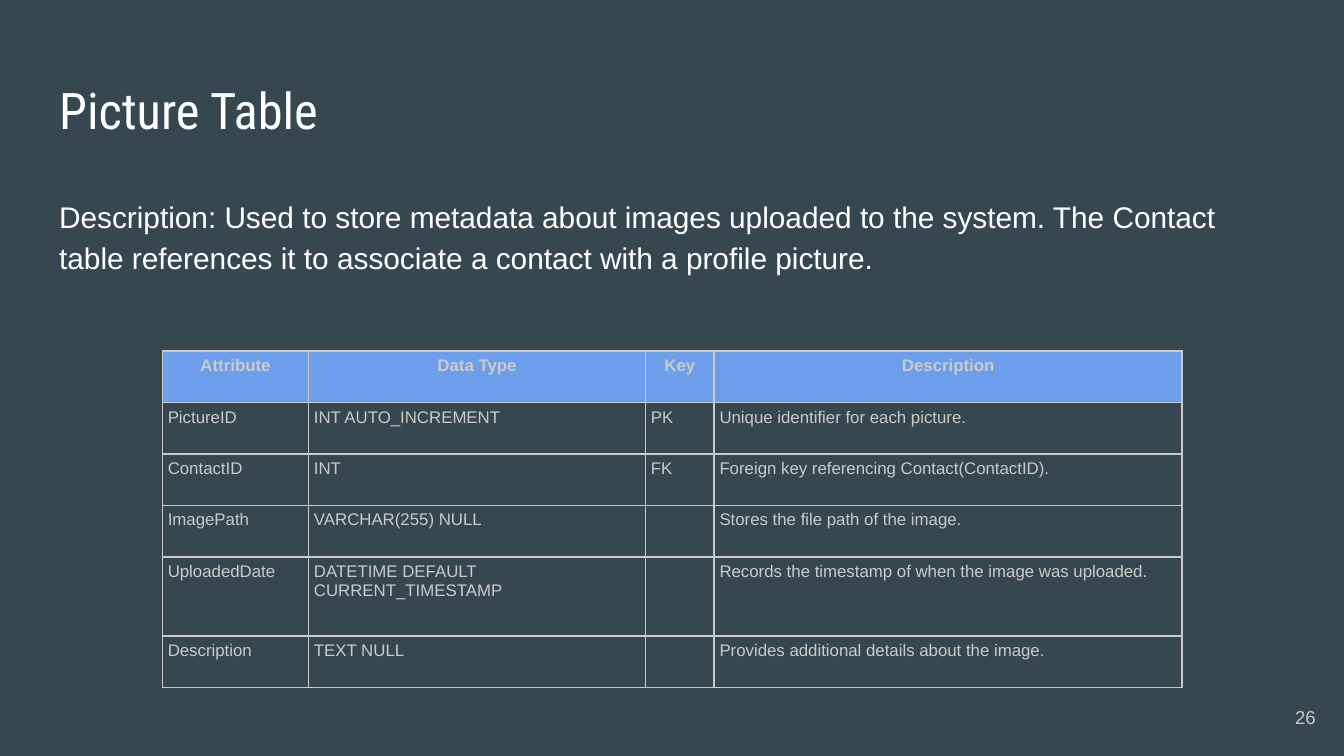
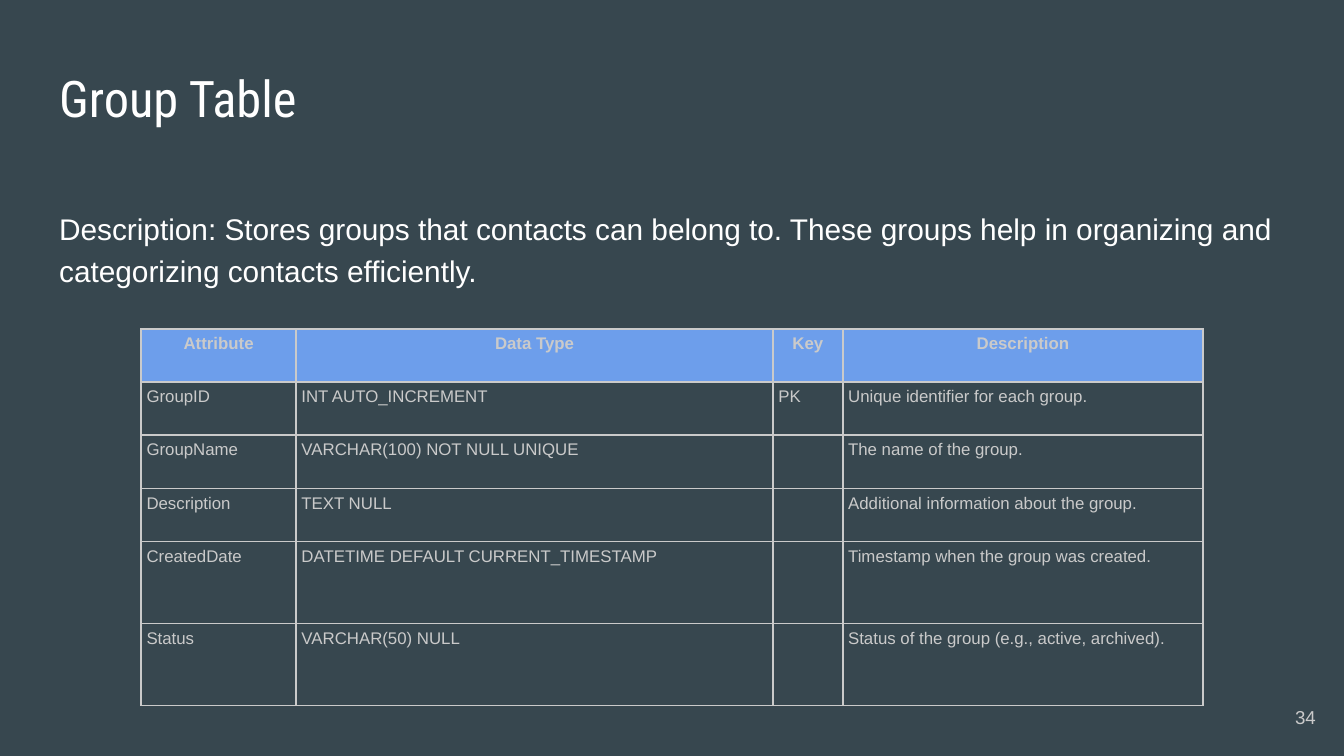
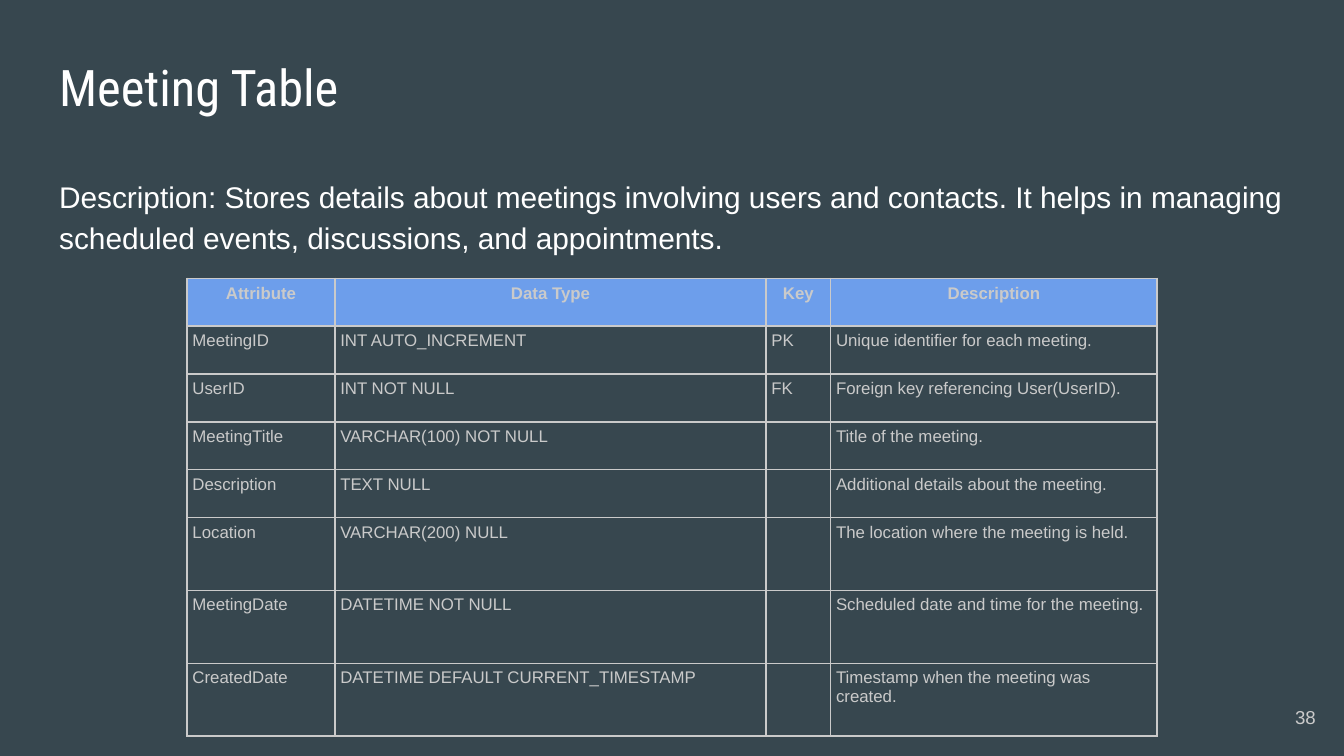
from dataclasses import dataclass

from lxml import etree
from pptx import Presentation
from pptx import util as u
from pptx.dml.color import RGBColor
from pptx.enum import text as t
from pptx.oxml.ns import qn


# Colours, fonts and type sizes
@dataclass(frozen=True)
class Theme:
    back: str = "37474F"
    white: str = "FFFFFF"
    grey: str = "CACACA"
    blue: str = "6D9EEB"
    head: str = "Roboto Condensed"
    body: str = "Arial"
    title: float = 27
    lead: float = 16
    cell: float = 9
    page: float = 10


TH = Theme()
LEFT, WIDE = 24.5, 671
INSET = 7.2
PAD = 2.9
HEADS = ("Attribute", "Data Type", "Key", "Description")


# Each table: places of its parts, column widths, row heights and rows
@dataclass(frozen=True)
class Entity:
    name: str
    page: str
    lead: str
    top: float
    body: tuple   # top, height
    grid: tuple   # left, top
    cols: tuple
    low: float    # height of a plain row
    high: float   # height of a tall row
    tall: int     # first tall row
    last: int     # last tall row
    rows: tuple


ENTITIES = (
    Entity(
        "Picture Table", "26",
        "Description: Used to store metadata about images uploaded to the system. "
        "The Contact table references it to associate a contact with a profile picture.",
        35.3, (96.5, 70), (87, 188), (78.3, 180.5, 36.8, 250.8),
        27.6, 42.4, 4, 4,
        (
            ("PictureID", "INT AUTO_INCREMENT", "PK", "Unique identifier for each picture."),
            ("ContactID", "INT", "FK", "Foreign key referencing Contact(ContactID)."),
            ("ImagePath", "VARCHAR(255) NULL", "", "Stores the file path of the image."),
            ("UploadedDate", "DATETIME DEFAULT CURRENT_TIMESTAMP", "",
             "Records the timestamp of when the image was uploaded."),
            ("Description", "TEXT NULL", "", "Provides additional details about the image."),
        )),
    Entity(
        "Group Table", "34",
        "Description: Stores groups that contacts can belong to. "
        "These groups help in organizing and categorizing contacts efficiently.",
        29, (103, 101.5), (75.6, 176.2), (83, 255.5, 37.4, 193),
        28.5, 43.9, 4, 5,
        (
            ("GroupID", "INT AUTO_INCREMENT", "PK", "Unique identifier for each group."),
            ("GroupName", "VARCHAR(100) NOT NULL UNIQUE", "", "The name of the group."),
            ("Description", "TEXT NULL", "", "Additional information about the group."),
            ("CreatedDate", "DATETIME DEFAULT CURRENT_TIMESTAMP", "",
             "Timestamp when the group was created."),
            ("Status", "VARCHAR(50) NULL", "", "Status of the group (e.g., active, archived)."),
        )),
    Entity(
        "Meeting Table", "38",
        "Description: Stores details about meetings involving users and contacts. "
        "It helps in managing scheduled events, discussions, and appointments.",
        23, (85.7, 93.6), (100.2, 149.2), (79.2, 231, 34.6, 175),
        25.6, 39.1, 5, 7,
        (
            ("MeetingID", "INT AUTO_INCREMENT", "PK", "Unique identifier for each meeting."),
            ("UserID", "INT NOT NULL", "FK", "Foreign key referencing User(UserID)."),
            ("MeetingTitle", "VARCHAR(100) NOT NULL", "", "Title of the meeting."),
            ("Description", "TEXT NULL", "", "Additional details about the meeting."),
            ("Location", "VARCHAR(200) NULL", "", "The location where the meeting is held."),
            ("MeetingDate", "DATETIME NOT NULL", "", "Scheduled date and time for the meeting."),
            ("CreatedDate", "DATETIME DEFAULT CURRENT_TIMESTAMP", "",
             "Timestamp when the meeting was created."),
        )),
)


# Text helpers
def add_run(para, words, size, color, font=TH.body, bold=False):
    run = para.add_run()
    run.text = words
    run.font.size = u.Pt(size)
    run.font.name = font
    run.font.bold = bold
    run.font.color.rgb = RGBColor.from_string(color)


def place(shape, left, top, width, height):
    shape.left, shape.top = u.Pt(left), u.Pt(top)
    shape.width, shape.height = u.Pt(width), u.Pt(height)


def set_frame(shape, anchor=t.MSO_ANCHOR.TOP, align=t.PP_ALIGN.LEFT):
    frame = shape.text_frame
    frame.word_wrap = True
    frame.auto_size = t.MSO_AUTO_SIZE.NONE
    frame.vertical_anchor = anchor
    frame.margin_left = frame.margin_right = u.Pt(INSET)
    frame.margin_top = frame.margin_bottom = u.Pt(INSET)
    para = frame.paragraphs[0]
    para.alignment = align
    return para


# Slide parts
def add_title(slide, item):
    title = slide.shapes.title
    place(title, LEFT, item.top, WIDE, 45.4)
    add_run(set_frame(title), item.name, TH.title, TH.white, TH.head)


def add_lead(slide, item):
    body = slide.placeholders[1]
    top, height = item.body
    place(body, LEFT, top, WIDE, height)
    para = set_frame(body)
    para.line_spacing = 1.15
    para.space_before = para.space_after = u.Pt(0)
    props = para._p.get_or_add_pPr()
    props.set("marL", "0")
    props.set("indent", "0")
    etree.SubElement(props, qn("a:buNone"))
    add_run(para, item.lead, TH.lead, TH.white)


def add_page(slide, item):
    box = slide.shapes.add_textbox(u.Pt(669), u.Pt(368.6), u.Pt(43), u.Pt(31))
    para = set_frame(box, t.MSO_ANCHOR.MIDDLE, t.PP_ALIGN.RIGHT)
    add_run(para, item.page, TH.page, TH.grey)


def add_edges(cell):
    props = cell._tc.get_or_add_tcPr()
    for spot, side in enumerate(("a:lnL", "a:lnR", "a:lnT", "a:lnB")):
        line = etree.Element(qn(side), w=str(u.Pt(1)))
        fill = etree.SubElement(line, qn("a:solidFill"))
        etree.SubElement(fill, qn("a:srgbClr"), val=TH.grey)
        props.insert(spot, line)


def fill_cell(cell, words, head):
    cell.margin_left = cell.margin_right = u.Pt(PAD)
    cell.margin_top = cell.margin_bottom = u.Pt(PAD)
    if head:
        cell.fill.solid()
        cell.fill.fore_color.rgb = RGBColor.from_string(TH.blue)
    else:
        cell.fill.background()
    add_edges(cell)
    para = cell.text_frame.paragraphs[0]
    if words:
        para.space_before = u.Pt(3)
        para.alignment = t.PP_ALIGN.CENTER if head else t.PP_ALIGN.LEFT
        add_run(para, words, TH.cell, TH.grey, bold=head)
    else:
        # An empty cell keeps the small type size, so its row stays low
        end = etree.SubElement(para._p, qn("a:endParaRPr"))
        end.set("sz", str(int(TH.cell * 100)))


def add_grid(slide, item):
    rows = (HEADS,) + item.rows
    highs = [item.high if item.tall <= n <= item.last else item.low
             for n in range(len(rows))]
    left, top = item.grid
    frame = slide.shapes.add_table(
        len(rows), len(HEADS), u.Pt(left), u.Pt(top),
        u.Pt(sum(item.cols)), u.Pt(sum(highs)))
    grid = frame.table
    grid.first_row = grid.horz_banding = False
    for col, width in zip(grid.columns, item.cols):
        col.width = u.Pt(width)
    for n, (row, high) in enumerate(zip(rows, highs)):
        grid.rows[n].height = u.Pt(high)
        for c, words in enumerate(row):
            fill_cell(grid.cell(n, c), words, n == 0)


def main():
    deck = Presentation()
    deck.slide_width, deck.slide_height = u.Pt(720), u.Pt(405)
    back = deck.slide_master.background.fill
    back.solid()
    back.fore_color.rgb = RGBColor.from_string(TH.back)
    for item in ENTITIES:
        slide = deck.slides.add_slide(deck.slide_layouts[1])
        for part in (add_title, add_lead, add_grid, add_page):
            part(slide, item)
    deck.save("out.pptx")


if __name__ == "__main__":
    main()
